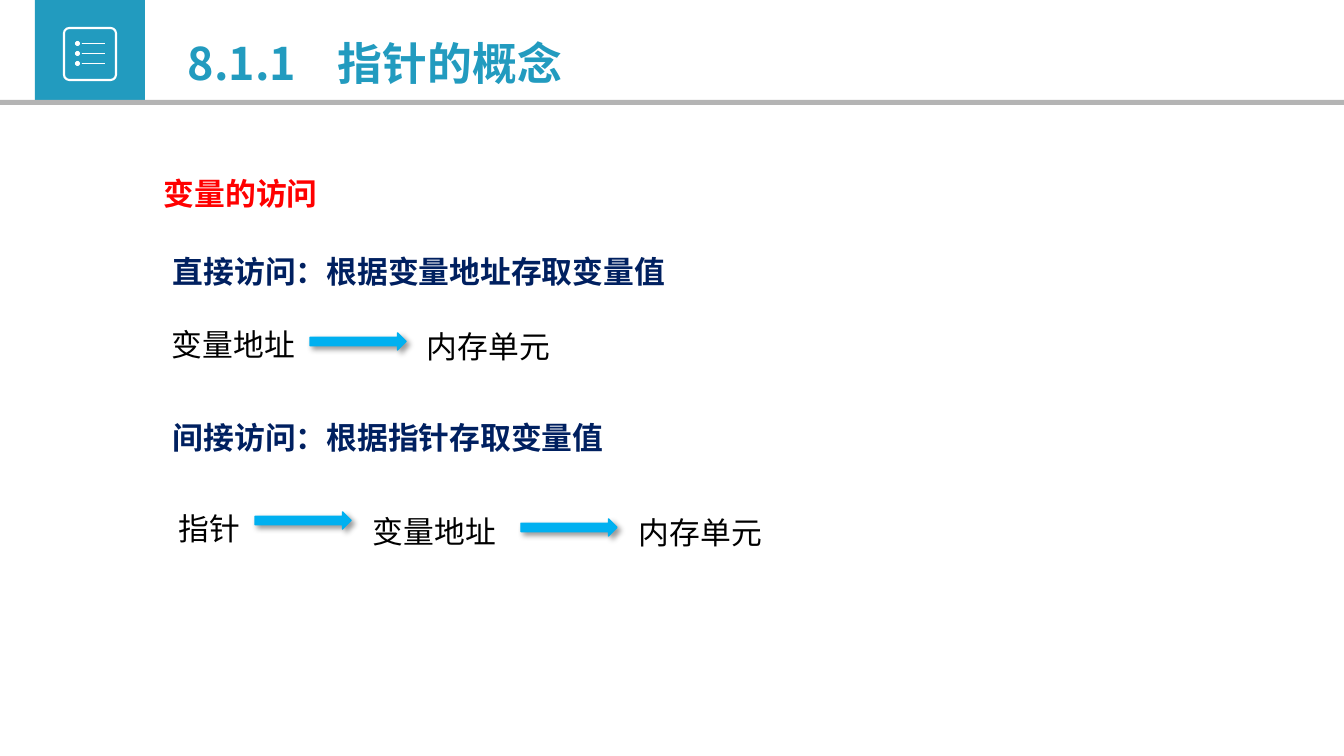
from lxml.etree import SubElement
from pptx import Presentation
from pptx.dml.color import RGBColor
from pptx.enum.shapes import MSO_SHAPE
from pptx.enum.text import MSO_AUTO_SIZE
from pptx.oxml.ns import qn
from pptx.util import Emu, Pt

COLORS = {
    "teal": "229BBF", "gray": "B4B4B4", "white": "FFFFFF", "red": "FF0000",
    "navy": "002060", "black": "000000", "sky": "00B0F0",
}
CJK = "Noto Sans CJK SC"
SERIF = "Times New Roman"


def px(*nums):
    """Turn pixel lengths into EMU."""
    return [Emu(round(n * 914400 / 100.8)) for n in nums]


def color(name):
    """Look up a named colour."""
    return RGBColor.from_string(COLORS[name])


def block(slide, kind, box, fill=None, line=None, width=1):
    """Add a preset shape without a shadow."""
    shape = slide.shapes.add_shape(kind, *px(*box))
    shape.shadow.inherit = False
    if fill:
        shape.fill.solid()
        shape.fill.fore_color.rgb = color(fill)
    else:
        shape.fill.background()
    if line:
        shape.line.color.rgb = color(line)
        shape.line.width = Pt(width)
    else:
        shape.line.fill.background()
    return shape


def label(slide, box, text, tint="black", bold=False, size=22, face=SERIF,
          space=1.5):
    """Add a text box with one run and return its paragraph."""
    frame = slide.shapes.add_textbox(*px(*box)).text_frame
    frame.word_wrap = True
    frame.auto_size = MSO_AUTO_SIZE.SHAPE_TO_FIT_TEXT
    para = frame.paragraphs[0]
    para.line_spacing = space
    run = para.add_run()
    run.text = text
    font = run.font
    font.name = face
    font.size = Pt(size)
    font.bold = bold
    font.color.rgb = color(tint)
    run._r.rPr.find(qn("a:latin")).addnext(
        run._r.rPr.makeelement(qn("a:ea"), {"typeface": CJK}))
    return para


def arrow(slide, left, top):
    """Add a block arrow with a soft shadow."""
    shape = block(slide, MSO_SHAPE.RIGHT_ARROW, (left, top, 96, 17), "sky", "sky")
    effect = shape._element.spPr.find(qn("a:effectLst"))
    shade = SubElement(effect, qn("a:outerShdw"), blurRad=str(Pt(4)),
                       dist=str(Pt(3)), dir="2700000", algn="tl", rotWithShape="0")
    tint = SubElement(shade, qn("a:srgbClr"), val=COLORS["black"])
    SubElement(tint, qn("a:alpha"), val="40000")


def header(slide):
    """Draw the title bar with its list icon."""
    block(slide, MSO_SHAPE.RECTANGLE, (35, 0, 110, 100), "teal")
    frame = block(slide, MSO_SHAPE.ROUNDED_RECTANGLE, (64, 28, 52, 52),
                  line="white", width=1.5)
    frame.adjustments[0] = 0.1
    for top in range(41, 71, 10):
        block(slide, MSO_SHAPE.OVAL, (75, top, 5, 5), "white")
        block(slide, MSO_SHAPE.RECTANGLE, (82, top + 2, 23, 1), "white")
    block(slide, MSO_SHAPE.RECTANGLE, (0, 100, 1344, 5), "gray")
    title = label(slide, (178, 31, 420, 65), "8.1.1\t指针的概念", "teal", True,
                  32, CJK, 1)
    tabs = SubElement(title._p.get_or_add_pPr(), qn("a:tabLst"))
    SubElement(tabs, qn("a:tab"), pos=str(px(150)[0]), algn="l")


def main():
    """Build and save the slide."""
    deck = Presentation()
    deck.slide_width, deck.slide_height = px(1344, 756)
    slide = deck.slides.add_slide(deck.slide_layouts[6])
    header(slide)
    label(slide, (154, 151, 316, 67), "变量的访问", "red", True)
    label(slide, (163, 229, 522, 59), "直接访问：根据变量地址存取变量值", "navy", True)
    label(slide, (163, 395, 459, 59), "间接访问：根据指针存取变量值", "navy", True)
    for left, top, width, text in (
        (162, 302, 148, "变量地址"),
        (417, 304, 148, "内存单元"),
        (169, 486, 86, "指针"),
        (363, 489, 148, "变量地址"),
        (629, 490, 148, "内存单元"),
    ):
        label(slide, (left, top, width, 59), text)
    for left, top in ((310, 333), (255, 512), (521, 519)):
        arrow(slide, left, top)
    deck.save("out.pptx")


if __name__ == "__main__":
    main()
